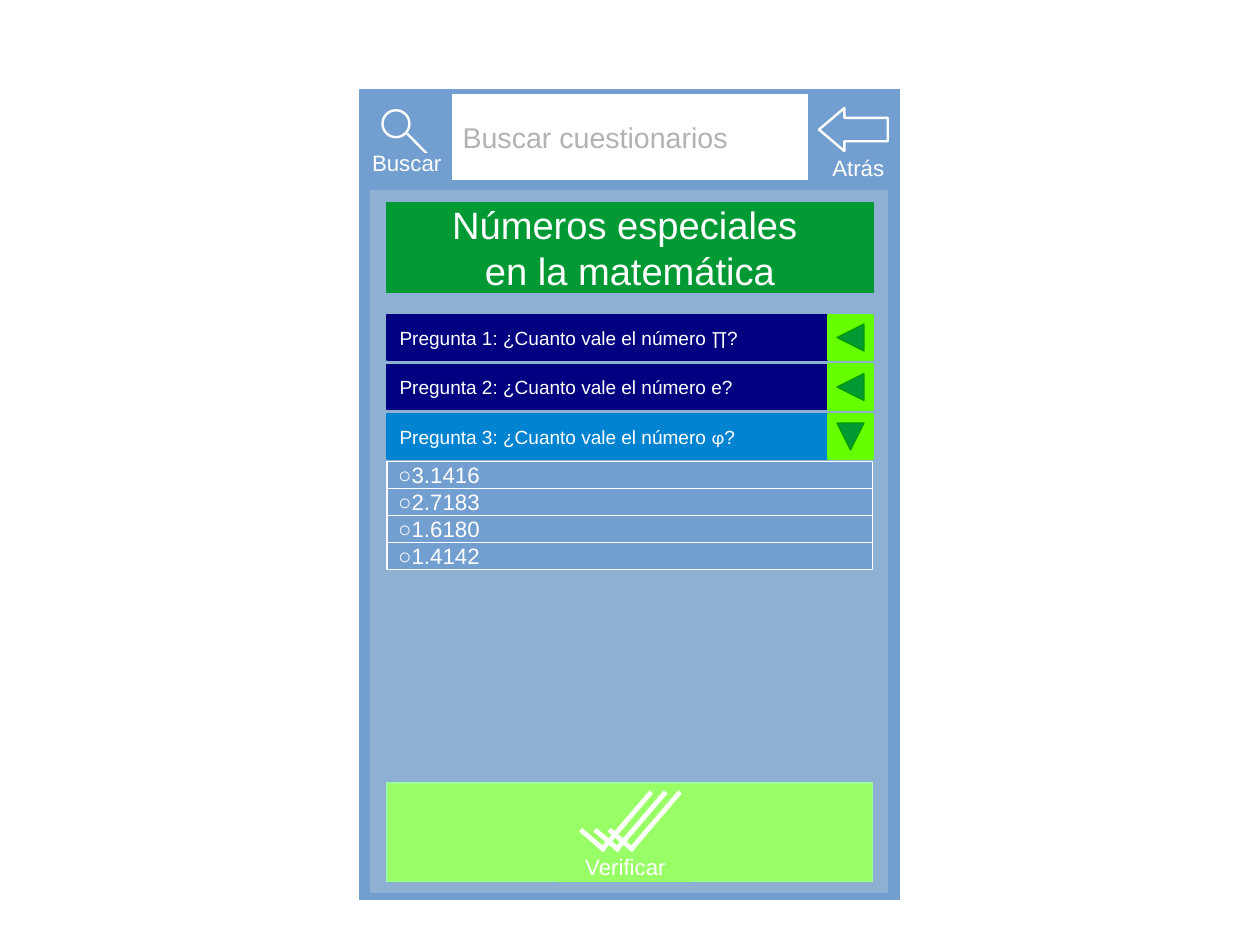
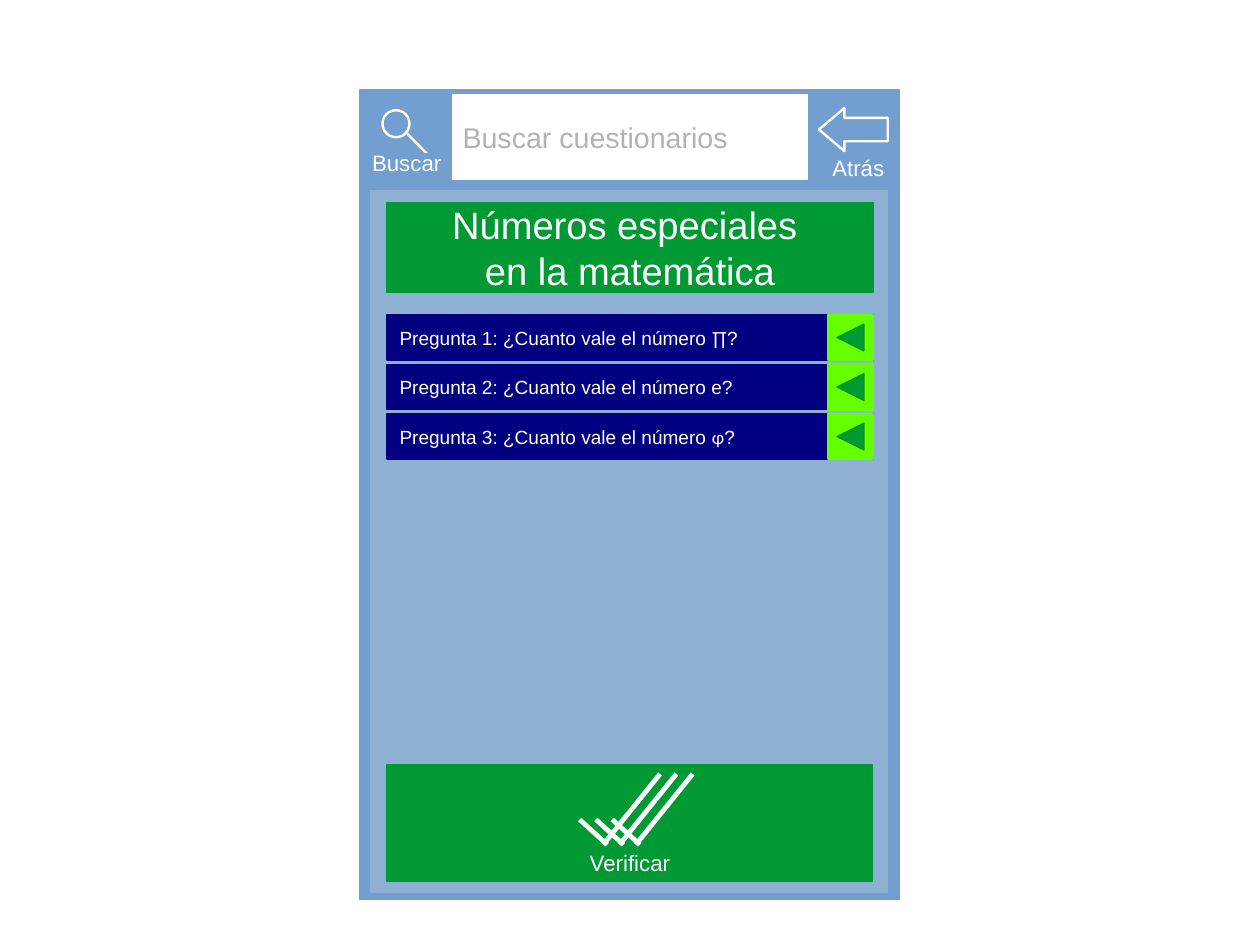
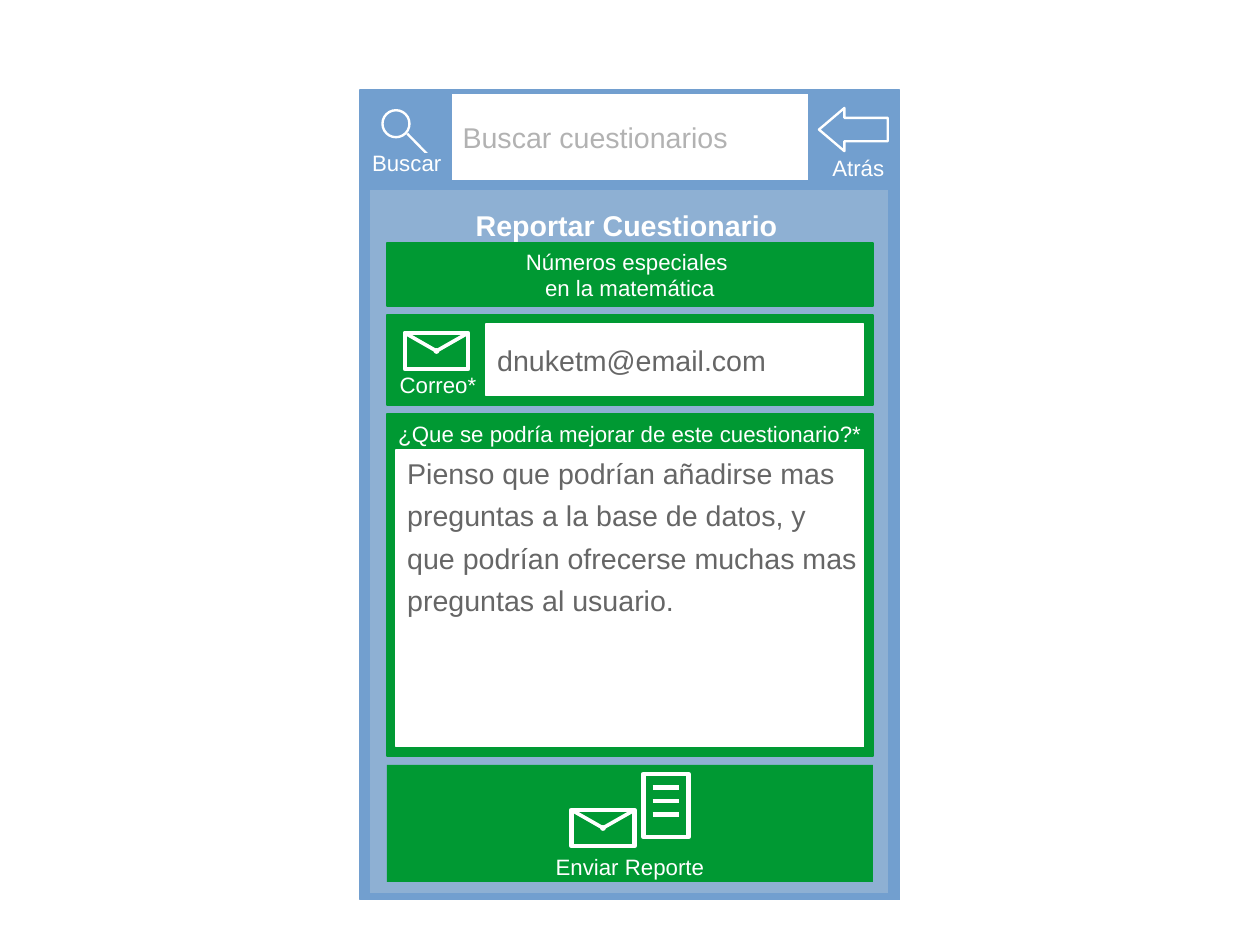
from typing import NamedTuple, Optional

from lxml import etree
from pptx import Presentation
from pptx.dml.color import RGBColor
from pptx.enum.shapes import MSO_CONNECTOR, MSO_SHAPE
from pptx.enum.text import MSO_ANCHOR, PP_ALIGN
from pptx.oxml.ns import qn
from pptx.util import Cm, Pt

RECT, OVAL = MSO_SHAPE.RECTANGLE, MSO_SHAPE.OVAL
TRIANGLE, LEFT_ARROW = MSO_SHAPE.ISOSCELES_TRIANGLE, MSO_SHAPE.LEFT_ARROW
STRAIGHT = MSO_CONNECTOR.STRAIGHT
LEFT, CENTER, JUSTIFY = PP_ALIGN.LEFT, PP_ALIGN.CENTER, PP_ALIGN.JUSTIFY
TOP, MIDDLE, BOTTOM = MSO_ANCHOR.TOP, MSO_ANCHOR.MIDDLE, MSO_ANCHOR.BOTTOM

WHITE, BLUE, PANEL_BLUE = "FFFFFF", "729FCF", "8EB0D3"
NAVY, OPEN_BLUE = "000080", "0084D1"
GREEN, LIME, PALE_GREEN = "009933", "66FF00", "99FF66"
HINT_GREY, ENTRY_GREY = "B2B2B2", "666666"
ARIAL, CALIBRI = "Arial", "Calibri"

CONTENT_X, CONTENT_W = 8.6, 10.8
QUESTION_Y, QUESTION_H, QUESTION_PITCH = 7, 1, 1.1
ANSWER_H = 0.6
THIN_INSETS, WIDE_INSETS = (0.25, 0.13), (0.28, 0.15)
QUIZ_NAME = "Números especiales \nen la matemática"


class Area(NamedTuple):
    """Left, top, width and height in centimetres."""
    x: float
    y: float
    w: float
    h: float


class Label(NamedTuple):
    text: str
    size: float = 14
    color: str = WHITE
    bold: bool = False
    align: PP_ALIGN = CENTER
    anchor: MSO_ANCHOR = MIDDLE
    insets: tuple[float, float] = THIN_INSETS
    space_before: float = 0


class Outline(NamedTuple):
    color: str
    width: float = 0


class Question(NamedTuple):
    number: int
    symbol: str
    font: str = CALIBRI


QUESTIONS = [Question(1, "∏"), Question(2, "e", ARIAL), Question(3, "φ")]
ANSWERS = ["3.1416", "2.7183", "1.6180", "1.4142"]


def rgb(color: str) -> RGBColor:
    return RGBColor.from_string(color)


def content_area(y: float, h: float) -> Area:
    """Area spanning the full content column."""
    return Area(CONTENT_X, y, CONTENT_W, h)


def style_run(r, label: Label, font: str = ARIAL) -> None:
    r.font.name = font
    r.font.size = Pt(label.size)
    r.font.bold = label.bold
    r.font.color.rgb = rgb(label.color)


def write(sp, label: Label) -> None:
    tf = sp.text_frame
    tf.text = label.text
    tf.word_wrap = False
    tf.vertical_anchor = label.anchor
    tf.margin_left = tf.margin_right = Cm(label.insets[0])
    tf.margin_top = tf.margin_bottom = Cm(label.insets[1])
    for i, p in enumerate(tf.paragraphs):
        p.alignment = label.align
        if i and label.space_before:
            p.space_before = Pt(label.space_before)
        for r in p.runs:
            style_run(r, label)


def add_box(s, area: Area, fill: str, outline: Optional[Outline] = None,
            label: Optional[Label] = None, kind: MSO_SHAPE = RECT):
    sp = s.shapes.add_shape(kind, *(Cm(v) for v in area))
    sp.shadow.inherit = False
    sp.fill.solid()
    sp.fill.fore_color.rgb = rgb(fill)
    if outline:
        sp.line.color.rgb = rgb(outline.color)
        sp.line.width = Pt(outline.width)
    else:
        sp.line.fill.background()
    if label:
        write(sp, label)
    return sp


def add_line(s, x1: float, y1: float, x2: float, y2: float, width: float) -> None:
    line = s.shapes.add_connector(STRAIGHT, Cm(x1), Cm(y1), Cm(x2), Cm(y2))
    line.line.color.rgb = rgb(WHITE)
    line.line.width = Pt(width)
    etree.SubElement(line._element.spPr, qn("a:effectLst"))


def add_screen(prs):
    """Add a slide with the app frame, search bar and back button."""
    s = prs.slides.add_slide(prs.slide_layouts[6])
    edge = Outline(BLUE)
    add_box(s, Area(8, 2, 12, 18), BLUE, edge)
    add_box(s, Area(10, 2.05, 8, 2), WHITE, Outline(BLUE, 2.3),
            Label("Buscar cuestionarios", 18, HINT_GREY, align=LEFT, insets=WIDE_INSETS))
    add_box(s, Area(8.2, 4.2, 11.55, 15.65), PANEL_BLUE, edge)

    add_box(s, Area(8.1, 2.05, 1.9, 1.9), BLUE, Outline(BLUE, 1.5))
    add_box(s, Area(8.5, 2.45, 0.6, 0.6), BLUE, Outline(WHITE, 1.5), kind=OVAL)
    add_line(s, 9.05, 2.97, 9.5, 3.43, 1.5)
    add_box(s, Area(8.2, 3.43, 1.68, 0.38), BLUE, Outline(BLUE, 1.5),
            Label("Buscar", insets=WIDE_INSETS))

    add_box(s, Area(18, 2.1, 1.98, 2), BLUE, edge)
    add_box(s, Area(18.2, 3.53, 1.75, 0.41), BLUE, edge, Label("Atrás"))
    arrow = add_box(s, Area(18.2, 2.4, 1.53, 0.96), BLUE, Outline(WHITE, 1.5),
                    kind=LEFT_ARROW)
    arrow.adjustments[0], arrow.adjustments[1] = 0.54, 0.59
    return s


def add_quiz_name(s, y: float, h: float, size: float) -> None:
    add_box(s, content_area(y, h), GREEN, Outline(GREEN, 1),
            Label(QUIZ_NAME, size, insets=WIDE_INSETS))


def add_question(s, question: Question, y: float, is_open: bool) -> None:
    color = OPEN_BLUE if is_open else NAVY
    label = Label(f"Pregunta {question.number}: ¿Cuanto vale el número ", 12,
                  align=LEFT, insets=WIDE_INSETS)
    sp = add_box(s, content_area(y, QUESTION_H), color, Outline(color, 1), label)
    for text, font in ((question.symbol, question.font), ("?", ARIAL)):
        r = sp.text_frame.paragraphs[0].add_run()
        r.text = text
        style_run(r, label, font)
    toggle_x = CONTENT_X + CONTENT_W - QUESTION_H
    add_box(s, Area(toggle_x, y, QUESTION_H, QUESTION_H), LIME, Outline(LIME, 1.5))
    marker = add_box(s, Area(toggle_x + 0.2, y + 0.2, 0.6, 0.6), GREEN,
                     Outline("009900"), kind=TRIANGLE)
    marker.rotation = 180 if is_open else 270


def add_answers(s, y: float) -> None:
    for i, answer in enumerate(ANSWERS):
        add_box(s, content_area(y + i * ANSWER_H, ANSWER_H), BLUE, Outline(WHITE),
                Label(f"○{answer}", align=LEFT))


def add_triple_check(s, area: Area) -> None:
    x, y, w, h = area
    for i in range(3):
        left, bottom = x + i * 0.145 * w, y + h
        add_line(s, left, y + 0.645 * h, left + 0.246 * w, bottom, 3)
        add_line(s, left + 0.715 * w, y, left + 0.21 * w, bottom, 3)


def add_verify_button(s, y: float, h: float, fill: str, edge: str,
                      caption: Area, check: Area) -> None:
    add_box(s, content_area(y, h), fill, Outline(edge))
    add_box(s, caption, fill, Outline(fill), Label("Verificar"))
    add_triple_check(s, check)


def add_envelope(s, x: float, y: float) -> None:
    w, h = 1.4, 0.8
    mid_x, mid_y = x + w / 2, y + h / 2
    add_box(s, Area(x, y, w, h), GREEN, Outline(WHITE, 3))
    add_line(s, x, y, mid_x, mid_y, 2.3)
    add_line(s, mid_x, mid_y, x + w, y, 2.3)
    add_box(s, Area(mid_x - 0.05, mid_y - 0.05, 0.1, 0.1), WHITE, Outline(WHITE), kind=OVAL)


def add_page_icon(s, x: float, y: float) -> None:
    add_box(s, Area(x, y, 1, 1.4), GREEN, Outline(WHITE, 3))
    for i in range(1, 4):
        add_line(s, x + 0.2, y + 0.3 * i, x + 0.8, y + 0.3 * i, 3)


def add_quiz_screen(prs, open_number: Optional[int] = None):
    s = add_screen(prs)
    add_quiz_name(s, 4.5, 2, 24)
    for i, question in enumerate(QUESTIONS):
        add_question(s, question, QUESTION_Y + i * QUESTION_PITCH,
                     question.number == open_number)
    return s


def add_report_screen(prs) -> None:
    s = add_screen(prs)
    add_box(s, Area(8.45, 4.4, 10.95, 1.2), PANEL_BLUE, Outline(PANEL_BLUE),
            Label("Reportar Cuestionario", 18, bold=True))
    add_quiz_name(s, 5.4, 1.4, 14)

    add_box(s, content_area(7, 2), GREEN, Outline(GREEN, 1),
            Label("Correo*", align=LEFT, anchor=BOTTOM, insets=WIDE_INSETS))
    add_envelope(s, 9, 7.4)
    add_box(s, Area(10.8, 7.2, 8.4, 1.6), WHITE, Outline(WHITE),
            Label("dnuketm@email.com", 18, ENTRY_GREY, align=LEFT))

    add_box(s, content_area(9.2, 7.6), GREEN, Outline(GREEN, 1),
            Label("¿Que se podría mejorar de este cuestionario?*",
                  anchor=TOP, insets=WIDE_INSETS))
    comment = "\n".join([
        "Pienso que podrían añadirse mas",
        "preguntas a la base de datos, y",
        "que podrían ofrecerse muchas mas",
        "preguntas al usuario.",
    ])
    add_box(s, Area(8.8, 10, 10.4, 6.6), WHITE, Outline(WHITE),
            Label(comment, 18, ENTRY_GREY, align=JUSTIFY, anchor=TOP, space_before=5.1))

    add_box(s, content_area(17, 2.6), GREEN)
    add_box(s, Area(12.5, 18.9, 3, 0.7), GREEN, label=Label("Enviar Reporte"))
    add_page_icon(s, 14.3, 17.2)
    add_envelope(s, 12.7, 18)


def main() -> None:
    prs = Presentation()
    prs.slide_width, prs.slide_height = Cm(28), Cm(21)

    s = add_quiz_screen(prs, open_number=3)
    add_answers(s, 10.25)
    add_verify_button(s, 17.4, 2.2, PALE_GREEN, "99FF99",
                      Area(12.4, 18.9, 3, 0.7), Area(12.9, 17.6, 2.2, 1.3))

    s = add_quiz_screen(prs)
    add_verify_button(s, 17, 2.6, GREEN, GREEN,
                      Area(12.3, 18.77, 3.4, 0.82), Area(12.88, 17.2, 2.5, 1.57))

    add_report_screen(prs)
    prs.save("out.pptx")


if __name__ == "__main__":
    main()
